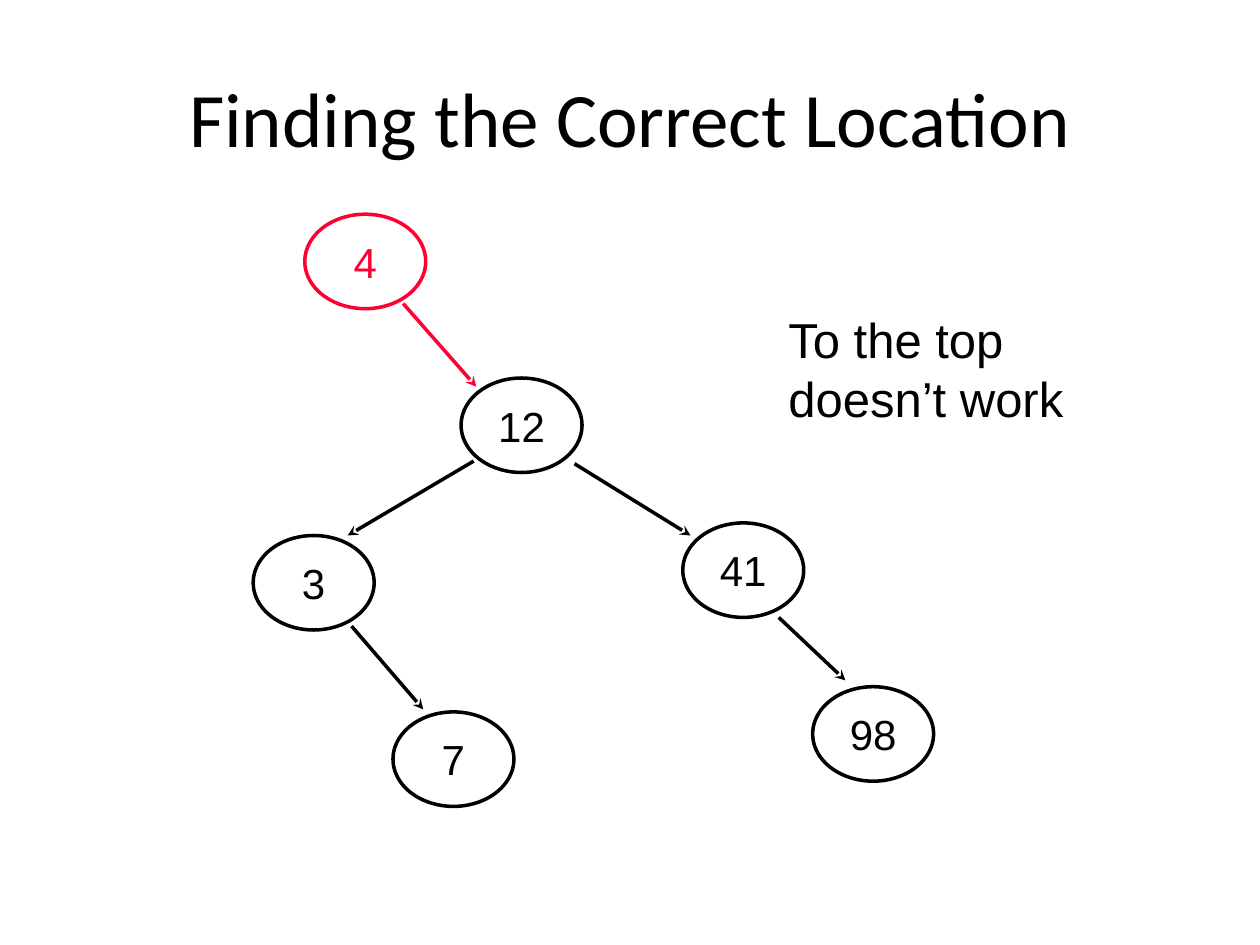
from lxml import etree
from pptx import Presentation
from pptx.dml.color import RGBColor
from pptx.enum.shapes import MSO_CONNECTOR, MSO_SHAPE
from pptx.enum.text import MSO_ANCHOR, MSO_AUTO_SIZE, PP_ALIGN
from pptx.oxml.ns import qn
from pptx.util import Pt

OVAL = MSO_SHAPE.OVAL
STRAIGHT = MSO_CONNECTOR.STRAIGHT
MIDDLE = MSO_ANCHOR.MIDDLE
FIT_SHAPE = MSO_AUTO_SIZE.SHAPE_TO_FIT_TEXT
LEFT, CENTER = PP_ALIGN.LEFT, PP_ALIGN.CENTER

BLACK = RGBColor(0x00, 0x00, 0x00)
RED = RGBColor(0xFF, 0x00, 0x33)

TITLE_FORMAT = {"name": "Calibri", "size": Pt(44)}
NODE_FORMAT = {"name": "Arial", "size": Pt(24)}
NOTE_FORMAT = {"name": "Arial", "size": Pt(28)}

NODE_WIDTH, NODE_HEIGHT = 69.1, 54
LINE_WIDTH = 2

NODES = [
    ("12", 263.5, 216, BLACK),
    ("3", 144.7, 306, BLACK),
    ("7", 224.6, 406.8, BLACK),
    ("41", 390.2, 298.8, BLACK),
    ("98", 464.4, 392.4, BLACK),
    ("4", 174.2, 122.4, RED),
]
EDGES = [
    ((270.7, 263.5), (198.7, 306), BLACK),
    ((200.9, 357.8), (241.9, 405.4), BLACK),
    ((328.3, 265), (394.6, 306), BLACK),
    ((445, 352.8), (483.1, 388.8), BLACK),
    ((230.4, 173.5), (272.2, 221), RED),
]


def write_text(frame, text, format_values, color, alignment):
    """Fill the first paragraph of a frame and format its spans."""
    para = frame.paragraphs[0]
    para.text = text
    para.alignment = alignment
    for span in para.runs:
        for name, value in format_values.items():
            setattr(span.font, name, value)
        span.font.color.rgb = color


def add_title(page, text):
    """Place the title placeholder and write its text."""
    title = page.shapes.title
    places = {"left": 36, "top": 21.6, "width": 648, "height": 90}
    for name, value in places.items():
        setattr(title, name, Pt(value))
    title.text_frame.vertical_anchor = MIDDLE
    write_text(title.text_frame, text, TITLE_FORMAT, BLACK, CENTER)


def add_node(page, label, left, top, color):
    """Draw one tree node as an outlined ellipse with its key."""
    node = page.shapes.add_shape(
        OVAL, Pt(left), Pt(top), Pt(NODE_WIDTH), Pt(NODE_HEIGHT)
    )
    node.shadow.inherit = False
    node.fill.background()
    node.line.color.rgb = color
    node.line.width = Pt(LINE_WIDTH)
    node.text_frame.word_wrap = False
    node.text_frame.vertical_anchor = MIDDLE
    write_text(node.text_frame, label, NODE_FORMAT, color, CENTER)


def add_edge(page, start, end, color):
    """Draw an arrow from a parent node to a child node."""
    ends = [Pt(value) for value in (*start, *end)]
    edge = page.shapes.add_connector(STRAIGHT, *ends)
    edge.line.color.rgb = color
    edge.line.width = Pt(LINE_WIDTH)
    properties = edge.element.spPr
    arrow = etree.SubElement(properties.get_or_add_ln(), qn("a:tailEnd"))
    arrow.set("type", "stealth")
    etree.SubElement(properties, qn("a:effectLst"))


def add_note(page, text):
    """Add the remark beside the tree."""
    box = page.shapes.add_textbox(Pt(443.5), Pt(173.5), Pt(187.2), Pt(74.2))
    box.text_frame.word_wrap = False
    box.text_frame.auto_size = FIT_SHAPE
    write_text(box.text_frame, text, NOTE_FORMAT, BLACK, LEFT)


def main():
    """Build the slide and save the deck."""
    deck = Presentation()
    deck.slide_width, deck.slide_height = Pt(720), Pt(540)
    page = deck.slides.add_slide(deck.slide_layouts.get_by_name("Title Only"))
    add_title(page, "Finding the Correct Location")
    for node in NODES:
        add_node(page, *node)
    for edge in EDGES:
        add_edge(page, *edge)
    add_note(page, "To the top\ndoesn’t work")
    deck.save("out.pptx")


if __name__ == "__main__":
    main()
